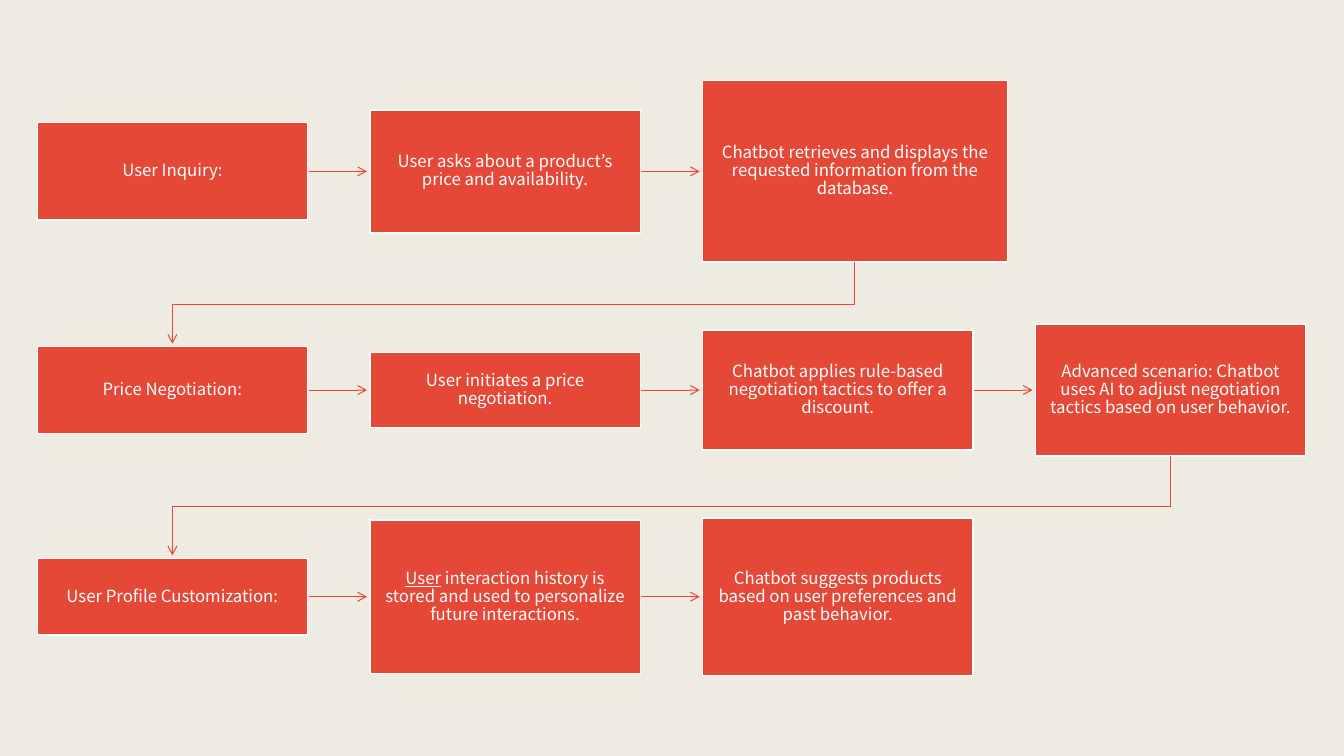
from itertools import pairwise

from lxml.etree import SubElement
from pptx import Presentation
from pptx.dml.color import RGBColor
from pptx.enum.shapes import MSO_CONNECTOR, MSO_SHAPE
from pptx.enum.text import MSO_ANCHOR, PP_ALIGN
from pptx.oxml.ns import qn
from pptx.util import Inches, Pt

CREAM = RGBColor(0xEE, 0xEB, 0xE2)
RED = RGBColor(0xE5, 0x48, 0x37)
WHITE = RGBColor(0xFF, 0xFF, 0xFF)

LEFT, PITCH, WIDTH = 0.37, 3.3, 2.68
GAP = 0.03  # space between an arrow tip and its box

# Each row: centre height, then (box height, box width, text) from left to right.
# An underlined lead word is given apart from the rest.
ROWS = [
    (1.7, [
        (0.97, WIDTH, ["User Inquiry:"]),
        (1.22, WIDTH, ["User asks about a product’s price and availability."]),
        (1.8, 3.02, ["Chatbot retrieves and displays the requested "
                      "information from the database."]),
    ]),
    (3.87, [
        (0.86, WIDTH, ["Price Negotiation:"]),
        (0.74, WIDTH, ["User initiates a price negotiation."]),
        (1.19, WIDTH, ["Chatbot applies rule-based negotiation tactics "
                       "to offer a discount."]),
        (1.31, WIDTH, ["Advanced scenario: Chatbot uses AI to adjust "
                       "negotiation tactics based on user behavior."]),
    ]),
    (5.92, [
        (0.76, WIDTH, ["User Profile Customization:"]),
        (1.52, WIDTH, ["User", " interaction history is stored and used to "
                       "personalize future interactions."]),
        (1.56, WIDTH, ["Chatbot suggests products based on user "
                       "preferences and past behavior."]),
    ]),
]
BENDS = [3.02, 5.03]  # height of the level run between one row and the next


def put(target, values):
    """Set each named attribute of target."""
    for name, value in values.items():
        setattr(target, name, value)


class Flow:
    """Holds the slide and the style of its boxes and arrows."""

    font = {"name": "Noto Sans CJK JP", "size": Pt(12)}
    para = {"alignment": PP_ALIGN.CENTER, "line_spacing": 0.9}
    frame = {
        "word_wrap": True, "vertical_anchor": MSO_ANCHOR.MIDDLE,
        "margin_left": Inches(0.13), "margin_right": Inches(0.13),
        "margin_top": Inches(0.14), "margin_bottom": Inches(0.14),
    }

    def __init__(self, slide):
        self.slide = slide
        self.shapes = slide.shapes
        slide.background.fill.solid()
        slide.background.fill.fore_color.rgb = CREAM

    def box(self, x, y, w, h, words):
        shape = self.shapes.add_shape(
            MSO_SHAPE.RECTANGLE, *map(Inches, (x, y, w, h)))
        shape.shadow.inherit = False
        shape.fill.solid()
        shape.fill.fore_color.rgb = RED
        shape.line.color.rgb = WHITE
        shape.line.width = Pt(1)
        put(shape.text_frame, self.frame)
        para = shape.text_frame.paragraphs[0]
        put(para, self.para)
        for i, part in enumerate(words):
            run = para.add_run()
            run.text = part
            put(run.font, self.font)
            run.font.color.rgb = WHITE
            if i < len(words) - 1:
                run.font.underline = True

    def tip(self, line):
        """Colour a line and give its end an open arrowhead."""
        line.color.rgb = RED
        line.width = Pt(0.75)
        SubElement(line._get_or_add_ln(), qn("a:tailEnd"), type="arrow")

    def arrow(self, x1, x2, y):
        link = self.shapes.add_connector(
            MSO_CONNECTOR.STRAIGHT, *map(Inches, (x1, y, x2, y)))
        self.tip(link.line)
        SubElement(link._element.spPr, qn("a:effectLst"))

    def bend(self, x1, y1, mid, x2, y2):
        """Draw an arrow that drops, runs level at mid, and drops again."""
        path = self.shapes.build_freeform(Inches(x1), Inches(y1))
        turns = [(x1, mid), (x2, mid), (x2, y2)]
        path.add_line_segments(
            [(Inches(x), Inches(y)) for x, y in turns], close=False)
        shape = path.convert_to_shape()
        shape.fill.background()
        self.tip(shape.line)
        shape.shadow.inherit = False


def main():
    deck = Presentation()
    deck.slide_width, deck.slide_height = Inches(13.33), Inches(7.5)
    flow = Flow(deck.slides.add_slide(deck.slide_layouts[6]))

    for y, boxes in ROWS:
        for col, (h, w, words) in enumerate(boxes):
            x = LEFT + col * PITCH
            if col:
                flow.arrow(x - PITCH + WIDTH + 0.01, x - GAP, y)
            flow.box(x, y - h / 2, w, h, words)

    for mid, ((y1, upper), (y2, lower)) in zip(BENDS, pairwise(ROWS)):
        h, w, _ = upper[-1]
        start = LEFT + (len(upper) - 1) * PITCH + w / 2
        flow.bend(start, y1 + h / 2, mid,
                  LEFT + WIDTH / 2, y2 - lower[0][0] / 2 - GAP)

    deck.save("out.pptx")


if __name__ == "__main__":
    main()
